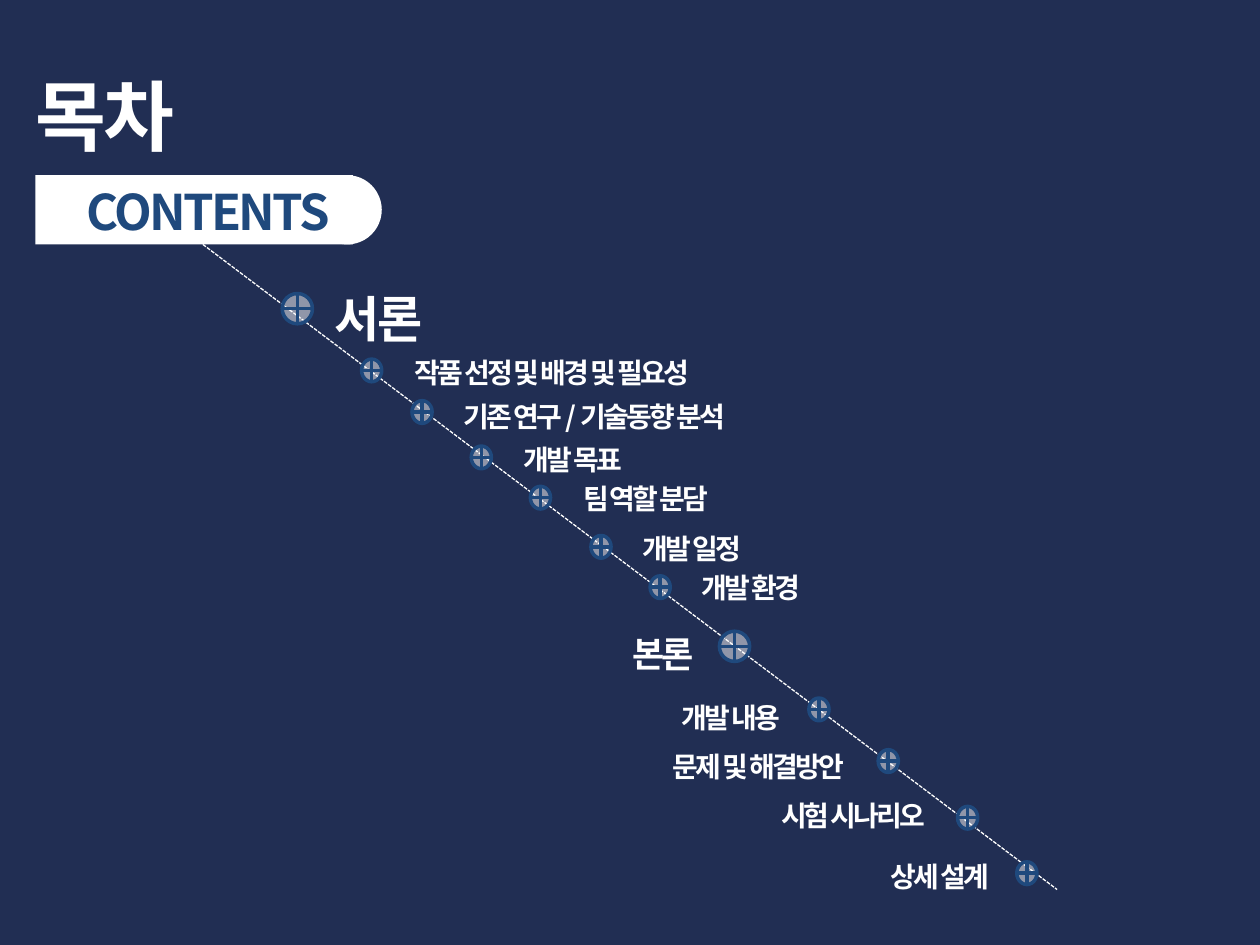
from lxml.etree import SubElement
from pptx import Presentation
from pptx.dml.color import RGBColor
from pptx.enum.dml import MSO_LINE
from pptx.enum.shapes import MSO_CONNECTOR, MSO_SHAPE
from pptx.enum.text import MSO_ANCHOR, MSO_AUTO_SIZE, PP_ALIGN
from pptx.oxml.ns import qn
from pptx.util import Inches, Pt

FONT = "Noto Sans CJK KR"
NAVY, BLUE, WHITE = "212E53", "1F497D", "FFFFFF"

SECTIONS = [
    ("서론", 28, (2.24, 2.33), (2.56, 2.24, 4.09, 0.57)),
    ("본론", 20, (5.71, 5.01), (4.92, 4.97, 0.79, 0.44)),
]
TOPICS = [
    ("작품 선정 및 배경 및 필요성", (2.87, 2.85), (3.19, 2.77)),
    ("기존 연구 / 기술동향 분석", (3.27, 3.18), (3.58, 3.12)),
    ("개발 목표", (3.74, 3.54), (4.06, 3.46)),
    ("팀 역할 분담", (4.21, 3.86), (4.53, 3.77)),
    ("개발 일정", (4.69, 4.25), (5, 4.17)),
    ("개발 환경", (5.16, 4.57), (5.47, 4.48)),
    ("개발 내용", (6.42, 5.54), (5.31, 5.51)),
    ("문제 및 해결방안", (6.97, 5.95), (5.24, 5.9)),
    ("시험 시나리오", (7.6, 6.4), (6.1, 6.29)),
    ("상세 설계", (8.07, 6.84), (6.97, 6.77)),
]


def rgb(value):
    return RGBColor.from_string(value)


def inches(values):
    return [Inches(v) for v in values]


def write(sp, text, size, color=WHITE):
    tf = sp.text_frame
    tf.word_wrap = True
    tf.auto_size = MSO_AUTO_SIZE.SHAPE_TO_FIT_TEXT
    tf.vertical_anchor = MSO_ANCHOR.TOP
    p = tf.paragraphs[0]
    p.alignment = PP_ALIGN.LEFT
    r = p.add_run()
    r.text = text
    r.font.size = Pt(size)
    r.font.bold = True
    r.font.color.rgb = rgb(color)
    r.font.name = FONT
    rPr = r.font._element
    rPr.set("spc", "-150")
    SubElement(rPr, qn("a:ea")).set("typeface", FONT)


def add_title(s, text, box):
    sp = s.shapes.title
    sp.left, sp.top, sp.width, sp.height = inches(box)
    write(sp, text, 44)


def add_label(s, text, size, box, color=WHITE):
    write(s.shapes.add_textbox(*inches(box)), text, size, color)


def add_solid(shapes, kind, box, color):
    sp = shapes.add_shape(kind, *inches(box))
    sp.shadow.inherit = False
    sp.fill.solid()
    sp.fill.fore_color.rgb = rgb(color)
    sp.line.fill.background()
    return sp


def add_banner(s):
    group = s.shapes.add_group_shape()
    add_solid(group.shapes, MSO_SHAPE.RECTANGLE, (0.28, 1.39, 2.52, 0.55), WHITE)
    add_solid(group.shapes, MSO_SHAPE.OVAL, (2.48, 1.39, 0.55, 0.55), WHITE)
    add_label(s, "CONTENTS", 28, (0.59, 1.39, 2.52, 0.57), BLUE)


def add_path_line(s, start, end):
    line = s.shapes.add_connector(MSO_CONNECTOR.STRAIGHT, *inches(start + end))
    line.line.color.rgb = rgb(WHITE)
    line.line.width = Pt(0.75)
    line.line.dash_style = MSO_LINE.SQUARE_DOT
    SubElement(line._element.spPr, qn("a:effectLst"))


def add_marker(s, at, size):
    sp = add_solid(s.shapes, MSO_SHAPE.FLOWCHART_OR, at + size, WHITE)
    fill = sp._element.spPr.find(qn("a:solidFill"))
    SubElement(fill[0], qn("a:alpha")).set("val", "50000")
    sp.line.color.rgb = rgb(BLUE)
    sp.line.width = Pt(2)


def main():
    prs = Presentation()
    prs.slide_width, prs.slide_height = inches((10, 7.5))
    s = prs.slides.add_slide(prs.slide_layouts[5])
    s.background.fill.solid()
    s.background.fill.fore_color.rgb = rgb(NAVY)

    add_title(s, "목차", (0.18, 0.49, 6.77, 0.84))
    add_banner(s)
    add_path_line(s, (1.61, 1.94), (8.39, 7.06))
    for text, size, at, box in SECTIONS:
        add_marker(s, at, (0.24, 0.24))
        add_label(s, text, size, box)
    for text, at, label_at in TOPICS:
        add_marker(s, at, (0.16, 0.18))
        add_label(s, text, 16, label_at + (4.09, 0.37))

    prs.save("out.pptx")


if __name__ == "__main__":
    main()
